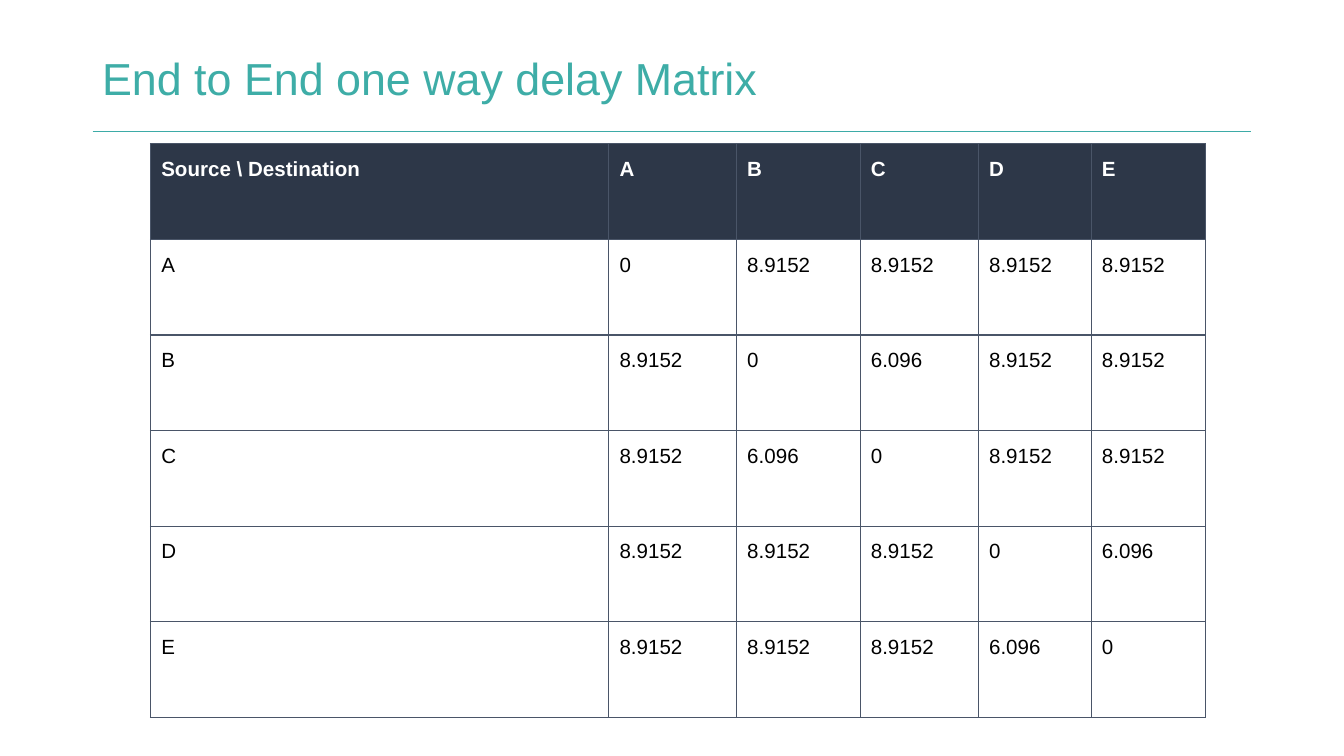
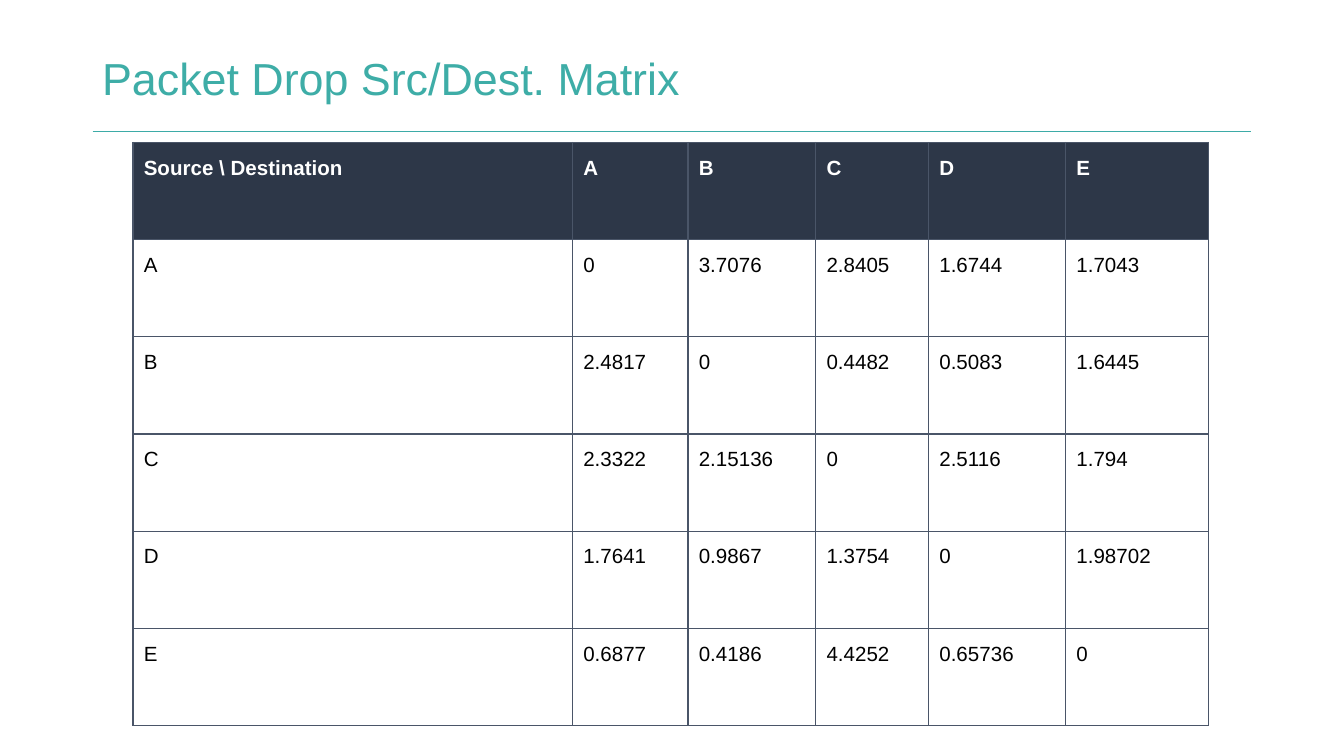
from lxml import etree
from pptx import Presentation
from pptx.dml.color import RGBColor
from pptx.enum.shapes import MSO_CONNECTOR
from pptx.enum.text import MSO_ANCHOR, MSO_AUTO_SIZE, PP_ALIGN
from pptx.oxml.ns import qn
from pptx.util import Inches, Pt

STRAIGHT = MSO_CONNECTOR.STRAIGHT
TOP, BOTTOM = MSO_ANCHOR.TOP, MSO_ANCHOR.BOTTOM
GROW = MSO_AUTO_SIZE.SHAPE_TO_FIT_TEXT
LEFT = PP_ALIGN.LEFT

TEAL = RGBColor(0x3E, 0xAD, 0xA7)
RULE = RGBColor(0x3D, 0xAB, 0xA7)
NAVY = RGBColor(0x2D, 0x37, 0x48)
SLATE = RGBColor(0x4A, 0x55, 0x68)
WHITE = RGBColor(0xFF, 0xFF, 0xFF)
BLACK = RGBColor(0, 0, 0)

FONT = "Arial"
TITLE_ONLY = 5
PAD = Inches(0.08)
NODES = ["A", "B", "C", "D", "E"]

DELAYS = [
    ["0", "8.9152", "8.9152", "8.9152", "8.9152"],
    ["8.9152", "0", "6.096", "8.9152", "8.9152"],
    ["8.9152", "6.096", "0", "8.9152", "8.9152"],
    ["8.9152", "8.9152", "8.9152", "0", "6.096"],
    ["8.9152", "8.9152", "8.9152", "6.096", "0"],
]
DROPS = [
    ["0", "3.7076", "2.8405", "1.6744", "1.7043"],
    ["2.4817", "0", "0.4482", "0.5083", "1.6445"],
    ["2.3322", "2.15136", "0", "2.5116", "1.794"],
    ["1.7641", "0.9867", "1.3754", "0", "1.98702"],
    ["0.6877", "0.4186", "4.4252", "0.65736", "0"],
]


def write(frame, text, size=11, color=BLACK, bold=False, space=1.0, after=0):
    par = frame.paragraphs[0]
    par.alignment = LEFT
    par.line_spacing = space
    par.space_before = Pt(0)
    par.space_after = Pt(after)
    run = par.add_run()
    run.text = text
    font = run.font
    font.name, font.size, font.bold = FONT, Pt(size), bold
    font.color.rgb = color
    return par


def border(cell, color=SLATE, width=0.75):
    props = cell._tc.get_or_add_tcPr()
    for side in ("a:lnL", "a:lnR", "a:lnT", "a:lnB"):
        line = etree.SubElement(props, qn(side), w=str(Pt(width)))
        fill = etree.SubElement(line, qn("a:solidFill"))
        etree.SubElement(fill, qn("a:srgbClr"), val=str(color))


class Deck:
    def __init__(self):
        self.prs = Presentation()
        self.prs.slide_width = Inches(10)
        self.prs.slide_height = Inches(10 * 9 / 16)
        self.slide = None

    def page(self, title):
        layout = self.prs.slide_layouts[TITLE_ONLY]
        self.slide = self.prs.slides.add_slide(layout)
        self.rule()
        self.title(title)

    def rule(self):
        """Draw the line under the title."""
        line = self.slide.shapes.add_connector(
            STRAIGHT, Inches(0.69), Inches(0.98), Inches(9.31), Inches(0.98))
        line.line.color.rgb = RULE
        line.line.width = Pt(0.75)
        etree.SubElement(line._element.spPr, qn("a:effectLst"))

    def title(self, text):
        shape = self.slide.shapes.title
        shape.left, shape.top = Inches(0.75), Inches(0.37)
        shape.width, shape.height = Inches(6.87), Inches(0.41)
        frame = shape.text_frame
        frame.margin_left = frame.margin_right = frame.margin_bottom = 0
        frame.margin_top = Inches(0.01)
        frame.word_wrap = True
        frame.auto_size = GROW
        frame.vertical_anchor = BOTTOM
        par = write(frame, text, size=24, color=TEAL)
        par._p.get_or_add_pPr().set("marL", str(Inches(0.01)))

    def cell(self, cell, text, head):
        cell.margin_left = cell.margin_right = PAD
        cell.margin_top = cell.margin_bottom = PAD
        cell.vertical_anchor = TOP
        border(cell)
        if head:
            cell.fill.solid()
            cell.fill.fore_color.rgb = NAVY
        else:
            cell.fill.background()
        write(cell.text_frame, text, color=WHITE if head else BLACK,
              bold=head, space=1.15, after=11)

    def matrix(self, left, top, widths, height, values):
        rows = [["Source \\ Destination", *NODES]]
        rows += [[node, *row] for node, row in zip(NODES, values)]
        table = self.slide.shapes.add_table(
            len(rows), len(widths), Inches(left), Inches(top),
            Inches(sum(widths)), Inches(height)).table
        table.first_row = table.horz_banding = False
        for col, width in zip(table.columns, widths):
            col.width = Inches(width)
        for r, row in enumerate(rows):
            table.rows[r].height = Inches(height / len(rows))
            for c, text in enumerate(row):
                self.cell(table.cell(r, c), text, head=r == 0)


def main():
    deck = Deck()
    deck.page("End to End one way delay Matrix")
    deck.matrix(1.12, 1.07, [3.41, 0.95, 0.92, 0.88, 0.84, 0.85], 4.27, DELAYS)
    deck.page("Packet Drop Src/Dest. Matrix")
    deck.matrix(0.99, 1.06, [3.27, 0.86, 0.95, 0.84, 1.02, 1.06], 4.34, DROPS)
    deck.prs.save("out.pptx")


if __name__ == "__main__":
    main()
